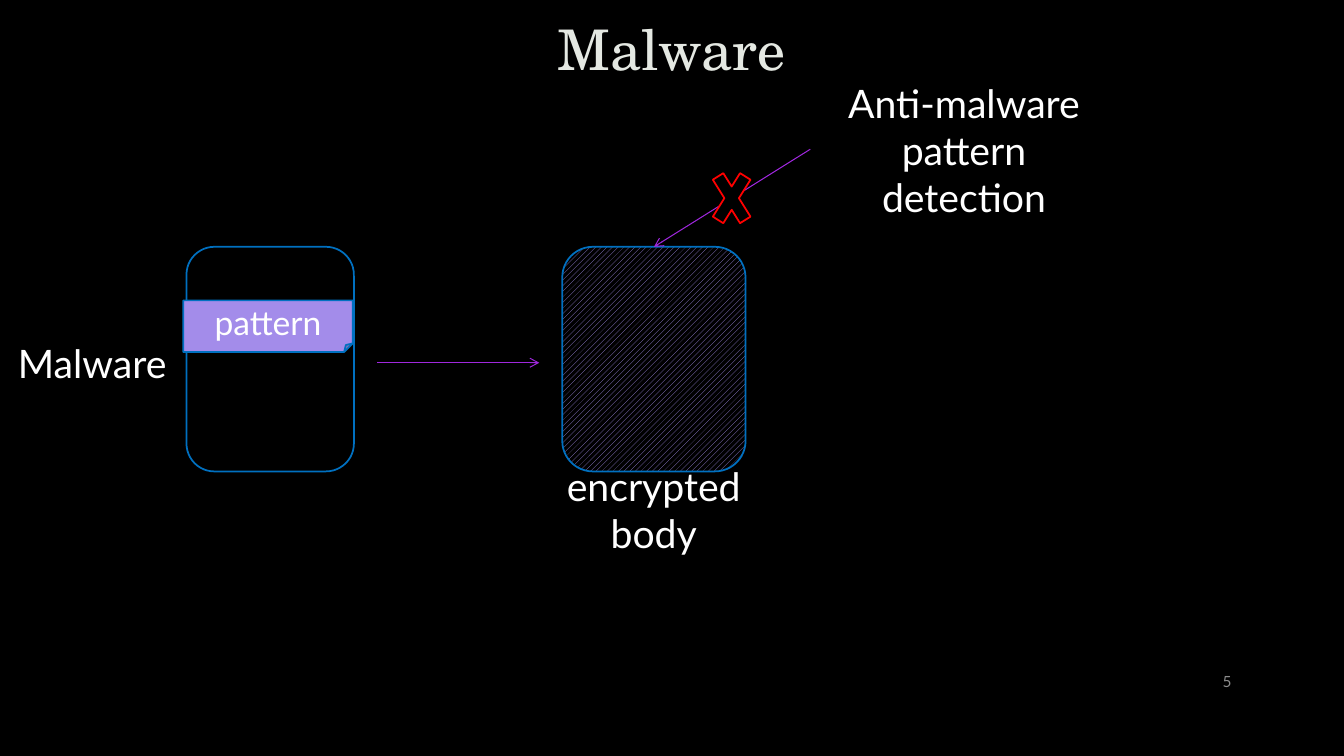
from lxml.etree import SubElement
from pptx import Presentation
from pptx.dml.color import RGBColor
from pptx.enum.dml import MSO_PATTERN
from pptx.enum.shapes import MSO_CONNECTOR, MSO_SHAPE
from pptx.enum.text import MSO_ANCHOR, PP_ALIGN
from pptx.oxml.ns import qn
from pptx.util import Cm, Pt

COLORS = {
    "black": "000000",
    "white": "FFFFFF",
    "title": "E4E8E2",
    "outline": "404040",
    "number": "8C8C8C",
    "violet": "A38CEA",
    "arrow": "9F27DD",
    "blue": "0070C0",
    "red": "FF0000",
}


def rgb(name):
    return RGBColor.from_string(COLORS[name])


class SlideBuilder:
    body_font = "Lato"
    title_font = "TeX Gyre Schola"

    def __init__(self, prs):
        self.s = prs.slides.add_slide(prs.slide_layouts[6])
        self.s.background.fill.solid()
        self.s.background.fill.fore_color.rgb = rgb("black")

    def set_text(self, sp, text, size, color, font, align):
        tf = sp.text_frame
        tf.word_wrap = True
        tf.vertical_anchor = MSO_ANCHOR.MIDDLE
        p = tf.paragraphs[0]
        p.text = text
        p.alignment = align
        p.font.name = font
        p.font.size = Pt(size)
        p.font.color.rgb = rgb(color)
        return p

    def text(self, box, text, size=28, color="white", font=body_font,
             align=PP_ALIGN.CENTER):
        sp = self.s.shapes.add_textbox(*map(Cm, box))
        return self.set_text(sp, text, size, color, font, align)

    def title(self, box, text):
        p = self.text(box, text, 40, "title", self.title_font)
        p.line_spacing = 0.9
        ln = SubElement(p.runs[0]._r.get_or_add_rPr(), qn("a:ln"), w=str(Pt(0.75)))
        fill = SubElement(ln, qn("a:solidFill"))
        clr = SubElement(fill, qn("a:srgbClr"), val=COLORS["outline"])
        SubElement(clr, qn("a:alpha"), val="10000")

    def shape(self, kind, box, line="blue", fill=None, pattern=None, text=None):
        sp = self.s.shapes.add_shape(kind, *map(Cm, box))
        sp.shadow.inherit = False
        sp.line.color.rgb = rgb(line)
        sp.line.width = Pt(1.25)
        if pattern:
            sp.fill.patterned()
            sp.fill.pattern = pattern
            sp.fill.fore_color.rgb = rgb(fill)
            sp.fill.back_color.rgb = rgb("black")
        elif fill:
            sp.fill.solid()
            sp.fill.fore_color.rgb = rgb(fill)
        else:
            sp.fill.background()
        if text:
            self.set_text(sp, text, 24, "white", self.body_font, PP_ALIGN.CENTER)
        return sp

    def arrow(self, tip, tail, target=None):
        c = self.s.shapes.add_connector(MSO_CONNECTOR.STRAIGHT, *map(Cm, tip + tail))
        c.line.color.rgb = rgb("arrow")
        c.line.width = Pt(0.75)
        SubElement(c.line._get_or_add_ln(), qn("a:headEnd"), type="arrow")
        SubElement(c._element.spPr, qn("a:effectLst"))
        if target:
            c.begin_connect(target, 0)


def main():
    prs = Presentation()
    prs.slide_width, prs.slide_height = Cm(33.87), Cm(19.05)
    s = SlideBuilder(prs)
    s.text((29.21, 16.66, 2.08, 1.02), "5", 11, "number", align=PP_ALIGN.RIGHT)
    s.title((2.54, -0.03, 28.75, 2.72), "Malware")

    encrypted = s.shape(MSO_SHAPE.ROUNDED_RECTANGLE, (14.17, 6.22, 4.62, 5.66),
                        fill="violet", pattern=MSO_PATTERN.WIDE_UPWARD_DIAGONAL)
    s.text((13.06, 11.53, 6.83, 2.62), "encrypted body")

    s.shape(MSO_SHAPE.ROUNDED_RECTANGLE, (4.7, 6.22, 4.22, 5.66))
    s.text((-0.66, 7.8, 5.97, 2.67), "Malware")
    s.shape(MSO_SHAPE.FOLDED_CORNER, (4.62, 7.57, 4.27, 1.3),
            fill="violet", text="pattern")

    s.arrow((13.59, 9.14), (9.5, 9.14))
    s.arrow((16.48, 6.22), (20.42, 3.76), encrypted)
    s.text((20.42, 2.46, 7.75, 2.62), "Anti-malware pattern detection")
    s.shape(MSO_SHAPE.MATH_MULTIPLY, (17.78, 3.94, 1.32, 2.11),
            line="red", fill="black")
    prs.save("out.pptx")


if __name__ == "__main__":
    main()
